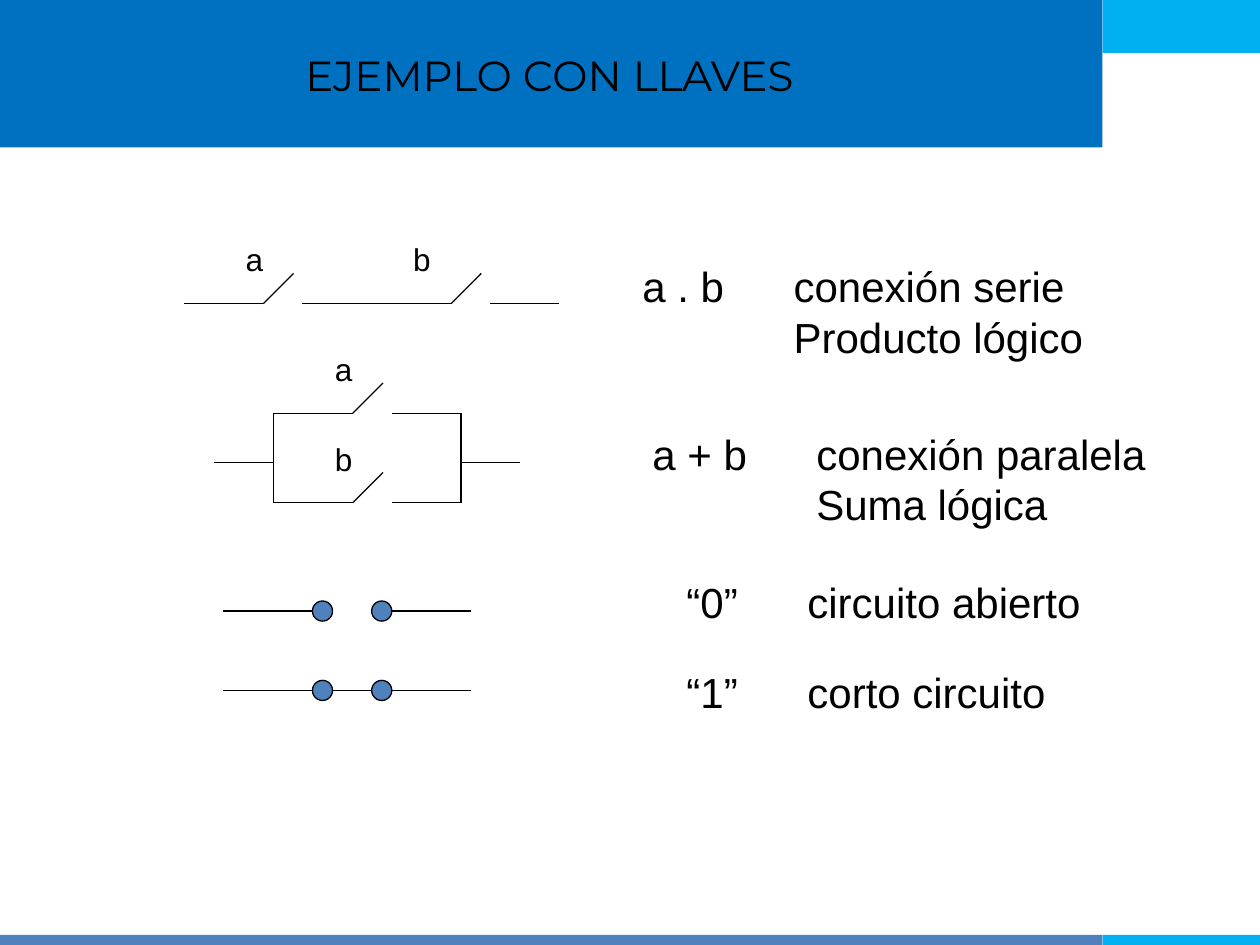
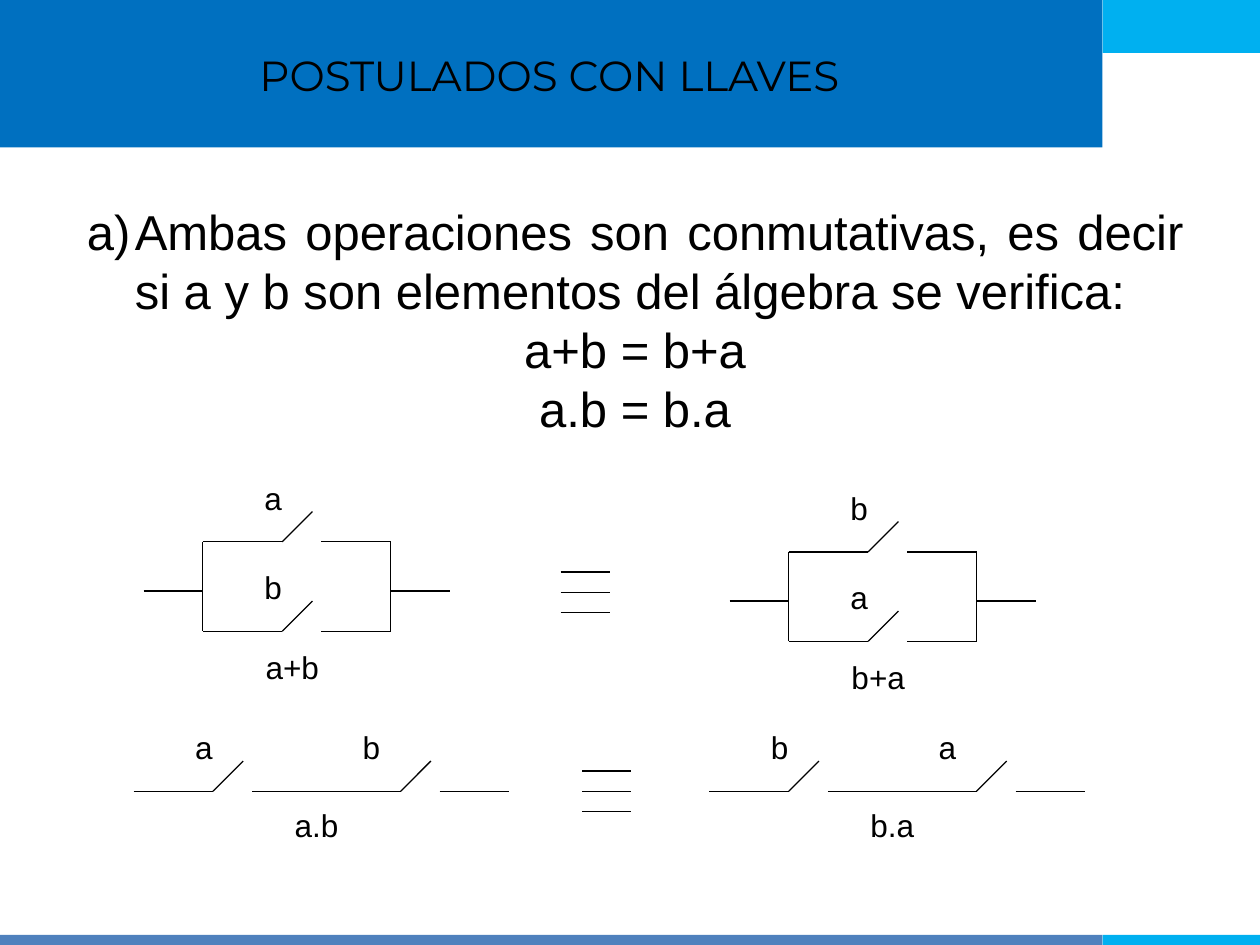
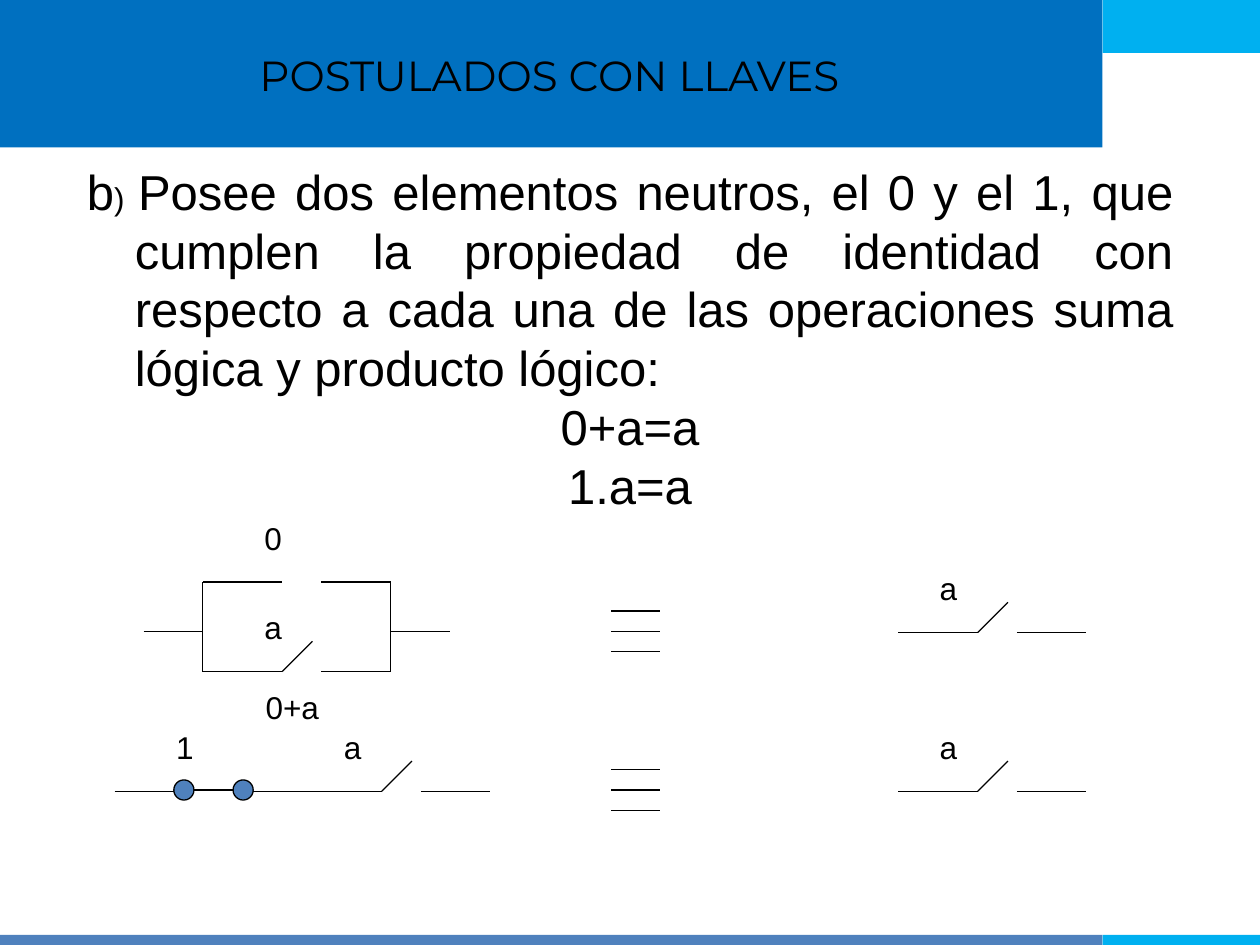
from lxml import etree
from pptx import Presentation
from pptx.dml.color import RGBColor
from pptx.enum.shapes import MSO_CONNECTOR, MSO_SHAPE
from pptx.enum.text import MSO_ANCHOR, MSO_AUTO_SIZE, PP_ALIGN
from pptx.oxml.ns import qn
from pptx.util import Inches, Pt

STRAIGHT = MSO_CONNECTOR.STRAIGHT
RECTANGLE = MSO_SHAPE.RECTANGLE
OVAL = MSO_SHAPE.OVAL
MIDDLE = MSO_ANCHOR.MIDDLE
TOP = MSO_ANCHOR.TOP
FIT_SHAPE = MSO_AUTO_SIZE.SHAPE_TO_FIT_TEXT
NO_FIT = MSO_AUTO_SIZE.NONE
CENTER = PP_ALIGN.CENTER
JUSTIFY = PP_ALIGN.JUSTIFY

BLACK = "000000"
BLUE = "0070C0"
CYAN = "00B0F0"
STEEL = "4F81BD"
TITLE_FONT = "Montserrat"
TEXT_FONT = "Arial"

BANDS = [
    (0, 0, 8.75, 1.17, BLUE),
    (8.75, 0, 1.25, 0.42, CYAN),
    (0, 7.42, 8.75, 0.08, STEEL),
    (8.75, 7.42, 1.25, 0.08, CYAN),
]
TITLE_ONLY = 5
TITLE_AND_BODY = 1

SWITCH_WIDTH = 1.49
BRANCH_GAP = 0.71
CONTACT_GAP = 0.47
CONTACT_SIZE = 0.16
LABEL_OVER_BLADE = 0.39
LABEL_OVER_WIRE = 0.23
HANGING = 0.38


def color(value):
    return RGBColor.from_string(value)


def place(shape, left, top, width, height):
    shape.left, shape.top = Inches(left), Inches(top)
    shape.width, shape.height = Inches(width), Inches(height)


def add_span(para, text, size, font=TEXT_FONT):
    span = para.add_run()
    span.text = text
    span.font.size = Pt(size)
    span.font.name = font
    span.font.color.rgb = color(BLACK)


def add_solid(page, kind, left, top, width, height, fill):
    shape = page.shapes.add_shape(
        kind, Inches(left), Inches(top), Inches(width), Inches(height))
    shape.shadow.inherit = False
    shape.fill.solid()
    shape.fill.fore_color.rgb = color(fill)
    shape.line.fill.background()
    return shape


def add_page(deck, layout, heading):
    page = deck.slides.add_slide(deck.slide_layouts[layout])
    title = page.shapes.title
    for *frame, fill in BANDS:
        band = add_solid(page, RECTANGLE, *frame, fill)
        title._element.addprevious(band._element)
    place(title, 0.11, 0.11, 8.5, 0.97)
    title.text_frame.vertical_anchor = MIDDLE
    title.text_frame.auto_size = NO_FIT
    para = title.text_frame.paragraphs[0]
    para.alignment = CENTER
    add_span(para, heading, 24, TITLE_FONT)
    return page


def add_wire(page, x1, y1, x2, y2):
    wire = page.shapes.add_connector(
        STRAIGHT, Inches(x1), Inches(y1), Inches(x2), Inches(y2))
    wire.line.color.rgb = color(BLACK)
    wire.line.width = Pt(0.75)
    etree.SubElement(wire._element.spPr, qn("a:effectLst"))


def add_text(page, left, top, width, lines, size=18, tab=None):
    height = 0.1 + len(lines) * size / 60
    box = page.shapes.add_textbox(
        Inches(left), Inches(top), Inches(width), Inches(height))
    frame = box.text_frame
    frame.word_wrap = True
    frame.auto_size = FIT_SHAPE
    for index, line in enumerate(lines):
        para = frame.add_paragraph() if index else frame.paragraphs[0]
        if tab:
            tabs = etree.SubElement(para._p.get_or_add_pPr(), qn("a:tabLst"))
            etree.SubElement(tabs, qn("a:tab"), pos=str(Inches(tab)), algn="l")
        add_span(para, line, size)


def add_caption(page, left, top, text):
    add_text(page, left, top, 0.7, [text])


def add_switch(page, x, y, label, blade=True, offset=LABEL_OVER_BLADE):
    add_wire(page, x, y, x + 0.63, y)
    if blade:
        add_wire(page, x + 0.63, y, x + 0.87, y - 0.24)
    add_wire(page, x + 0.94, y, x + SWITCH_WIDTH, y)
    add_text(page, x + offset, y - 0.55, 0.55, [label])


def add_series(page, x, y, labels, caption=None):
    first, second = labels
    add_switch(page, x, y, first, first != "1")
    add_switch(page, x + SWITCH_WIDTH, y, second, offset=LABEL_OVER_WIRE)
    if caption:
        add_caption(page, x + 1.18, y + 0.07, caption)


def add_parallel(page, x, y, labels, caption=None):
    for index, label in enumerate(labels):
        add_switch(page, x, y + index * BRANCH_GAP, label, label != "0")
    right = x + SWITCH_WIDTH
    for side in (x, right):
        add_wire(page, side, y, side, y + BRANCH_GAP)
    for start in (x - 0.47, right):
        add_wire(page, start, y + 0.39, start + 0.47, y + 0.39)
    if caption:
        add_caption(page, x + 0.4, y + 0.79, caption)


def add_contacts(page, x, y, closed):
    if closed:
        add_wire(page, x, y, x + CONTACT_GAP, y)
    for center in (x, x + CONTACT_GAP):
        contact = add_solid(
            page, OVAL, center - CONTACT_SIZE / 2, y - CONTACT_SIZE / 2,
            CONTACT_SIZE, CONTACT_SIZE, STEEL)
        contact.line.color.rgb = color(BLACK)
        contact.line.width = Pt(0.75)


def add_equivalence(page, x, y):
    for index in range(3):
        level = y + index * 0.16
        add_wire(page, x, level, x + 0.39, level)


def fill_body(page, frame, statement, formulas, numbered=False):
    body = page.placeholders[1]
    place(body, *frame)
    text = body.text_frame
    text.vertical_anchor = TOP
    text.auto_size = NO_FIT
    paragraphs = [statement] + [[(formula, 28)] for formula in formulas]
    for index, spans in enumerate(paragraphs):
        para = text.add_paragraph() if index else text.paragraphs[0]
        para.alignment = CENTER if index else JUSTIFY
        para.space_before = Pt(0)
        properties = para._p.get_or_add_pPr()
        properties.set("marL", str(Inches(HANGING)))
        properties.set("indent", str(-Inches(HANGING)))
        if numbered and index == 0:
            etree.SubElement(
                properties, qn("a:buAutoNum"), type="alphaLcParenR")
        else:
            etree.SubElement(properties, qn("a:buNone"))
        for content, size in spans:
            add_span(para, content, size)


def build_examples(deck):
    page = add_page(deck, TITLE_ONLY, "EJEMPLO CON LLAVES")
    add_series(page, 1.46, 2.41, "ab")
    add_parallel(page, 2.17, 3.28, "ab")
    for y, closed in ((4.85, False), (5.48, True)):
        for start in (1.77, 3.03):
            add_wire(page, start, y, start + 0.71, y)
        add_contacts(page, 2.56, y, closed)
    meanings = [
        (5, 2.02, 4.09, 1.2, ["a . b\tconexión serie", "\tProducto lógico"]),
        (5.08, 3.35, 4.25, 1.3, ["a + b\tconexión paralela", "\tSuma lógica"]),
        (5.35, 4.53, 3.46, 0.96, ["“0”\tcircuito abierto"]),
        (5.35, 5.24, 3.46, 0.96, ["“1”\tcorto circuito"]),
    ]
    for left, top, width, tab, lines in meanings:
        add_text(page, left, top, width, lines, size=24, tab=tab)


def build_commutative(deck):
    page = add_page(deck, TITLE_AND_BODY, "POSTULADOS CON LLAVES")
    statement = [(
        "Ambas operaciones son conmutativas, es decir si a y b son "
        "elementos del álgebra se verifica:", 28)]
    fill_body(page, (0.59, 1.55, 8.9, 1.99), statement,
              ["a+b = b+a", "a.b = b.a"], numbered=True)
    add_parallel(page, 1.61, 4.3, "ab", "a+b")
    add_equivalence(page, 4.45, 4.54)
    add_parallel(page, 6.26, 4.38, "ba", "b+a")
    add_series(page, 1.06, 6.28, "ab", "a.b")
    add_equivalence(page, 4.62, 6.12)
    add_series(page, 5.63, 6.28, "ba", "b.a")


def build_neutral(deck):
    page = add_page(deck, TITLE_AND_BODY, "POSTULADOS CON LLAVES")
    statement = [
        ("b", 28),
        (") ", 18),
        ("Posee dos elementos neutros, el 0 y el 1, que cumplen la "
         "propiedad de identidad con respecto a cada una de las "
         "operaciones suma lógica y producto lógico:", 28),
    ]
    fill_body(page, (0.59, 1.23, 8.82, 2.93), statement, ["0+a=a", "1.a=a"])
    add_parallel(page, 1.61, 4.62, "0a", "0+a")
    add_series(page, 0.91, 6.28, "1a")
    add_contacts(page, 1.46, 6.27, True)
    for y in (5.02, 6.28):
        add_equivalence(page, 4.85, y - 0.17)
        add_switch(page, 7.13, y, "a", offset=LABEL_OVER_WIRE)


def main():
    deck = Presentation()
    deck.slide_width, deck.slide_height = Inches(10), Inches(7.5)
    build_examples(deck)
    build_commutative(deck)
    build_neutral(deck)
    deck.save("out.pptx")


if __name__ == "__main__":
    main()
